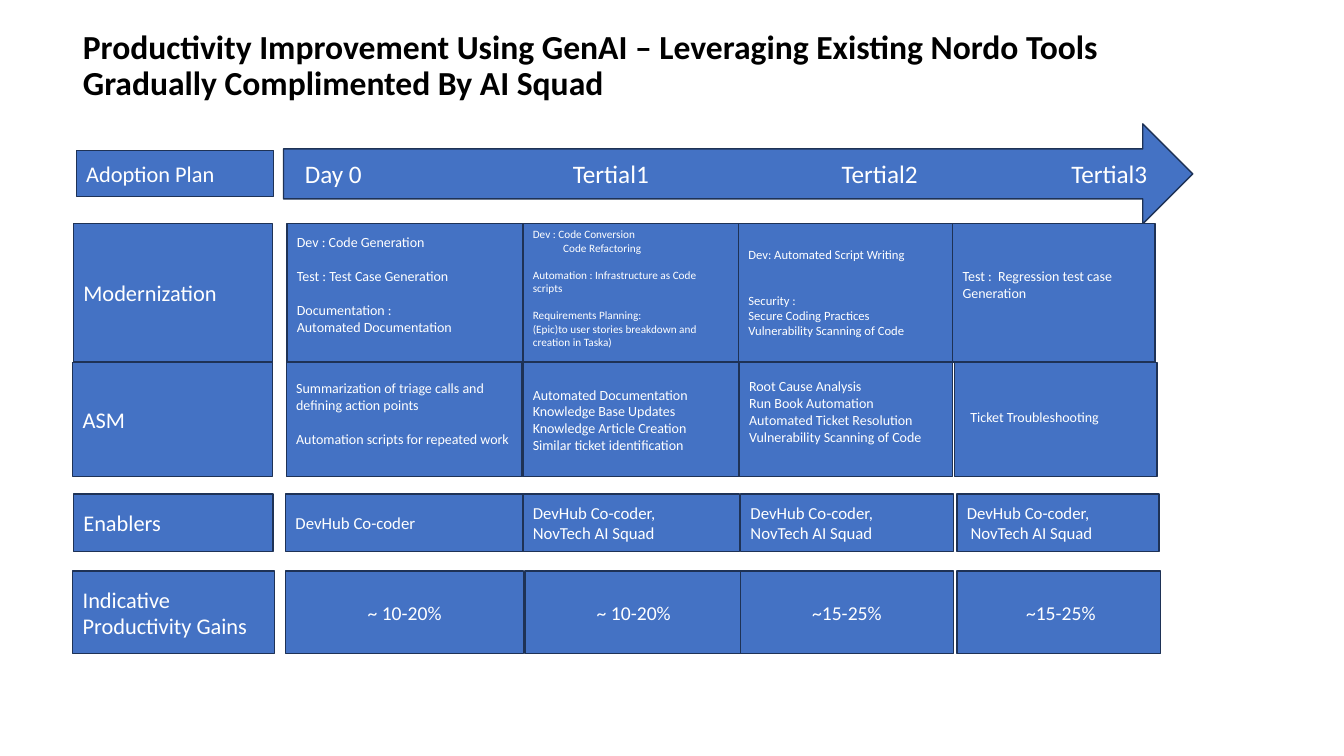
from dataclasses import dataclass

import pptx
import pptx.util
import pptx.dml.color
import pptx.enum.shapes
import pptx.enum.text
import pptx.oxml
import pptx.oxml.ns

Pt = pptx.util.Pt
RGB = pptx.dml.color.RGBColor.from_string
SHAPE = pptx.enum.shapes.MSO_SHAPE
ALIGN = pptx.enum.text.PP_ALIGN
MIDDLE = pptx.enum.text.MSO_ANCHOR.MIDDLE


@dataclass(frozen=True)
class Theme:
    font: str = "Calibri"
    fill: str = "4472C4"
    line: str = "1E3256"
    light: str = "FFFFFF"
    dark: str = "000000"
    title: int = 24
    arrow: int = 18
    label: int = 16
    gain: int = 14
    enabler: int = 12
    body: int = 10
    small: int = 9
    tiny: int = 8


T = Theme()


def write(tf, text, size, color=T.light, bold=False, align=ALIGN.LEFT,
          gaps=(), gap=0, indents=None, lift=0, lead=0, spacing=None):
    """Put one paragraph per line; gaps lists lines preceded by a gap, lift raises the block."""
    tf.word_wrap = True
    tf.vertical_anchor = MIDDLE
    tf.margin_left = Pt(7.2 + lead)
    tf.margin_bottom = Pt(3.6 + 2 * lift)
    for i, line in enumerate(text.split("\n")):
        p = tf.add_paragraph() if i else tf.paragraphs[0]
        p.alignment = align
        if spacing:
            p.line_spacing = spacing
        if i in gaps:
            p.space_before = Pt(gap)
        if indents and i in indents:
            p._p.get_or_add_pPr().set("marL", str(Pt(indents[i])))
        r = p.add_run()
        r.text = line
        r.font.name = T.font
        r.font.size = Pt(size)
        r.font.bold = bold
        r.font.color.rgb = RGB(color)


def add_box(s, box, text, size, kind=SHAPE.RECTANGLE, **fmt):
    sp = s.shapes.add_shape(kind, *map(Pt, box))
    sp.shadow.inherit = False
    sp.fill.solid()
    sp.fill.fore_color.rgb = RGB(T.fill)
    sp.line.color.rgb = RGB(T.line)
    sp.line.width = Pt(1)
    write(sp.text_frame, text, size, **fmt)
    return sp


def add_title(s, box, text):
    sp = s.shapes.title
    sp.left, sp.top, sp.width, sp.height = map(Pt, box)
    write(sp.text_frame, text, T.title, color=T.dark, bold=True, spacing=0.9)


def add_timeline(s, box, phases, stops):
    """Arrow whose phase names sit on tab stops."""
    sp = add_box(s, box, "\t".join(phases), T.arrow, kind=SHAPE.RIGHT_ARROW, lead=8)
    tf = sp.text_frame
    tf.margin_right = 0
    pPr = tf.paragraphs[0]._p.get_or_add_pPr()
    tabs = "".join(f'<a:tab pos="{Pt(x)}" algn="l"/>' for x in stops)
    pPr.append(pptx.oxml.parse_xml(
        f'<a:tabLst {pptx.oxml.ns.nsdecls("a")}>{tabs}</a:tabLst>'))


def add_row(s, top, height, label, label_box, columns, cells):
    """Row label followed by one cell per phase; a cell is (text, size, format)."""
    label_left, label_width = label_box
    add_box(s, (label_left, top, label_width, height), label, T.label)
    for (left, width), (text, size, fmt) in zip(columns, cells):
        add_box(s, (left, top, width, height), text, size, **fmt)


MODERNIZATION = [
    ("Dev : Code Generation\nTest : Test Case Generation\nDocumentation :\n"
     "Automated Documentation", T.body, dict(gaps=(1, 2), gap=12.2, lift=6)),
    ("Dev : Code Conversion\nCode Refactoring\n"
     "Automation : Infrastructure as Code scripts\nRequirements Planning:\n"
     "(Epic)to user stories breakdown and creation in Taska)", T.tiny,
     dict(gaps=(2, 3), gap=9.75, indents={1: 21.7}, lift=3)),
    ("Dev: Automated Script Writing\nSecurity :\nSecure Coding Practices\n"
     "Vulnerability Scanning of Code", T.small, dict(gaps=(1,), gap=22)),
    ("Test :  Regression test case  Generation", T.body, dict(lift=6)),
]
ASM = [
    ("Summarization of triage calls and defining action points\n"
     "Automation scripts for repeated work", T.body, dict(gaps=(1,), gap=12.2, lift=4.5)),
    ("Automated Documentation\nKnowledge Base Updates\nKnowledge Article Creation\n"
     "Similar ticket identification", T.body, {}),
    ("Root Cause Analysis\nRun Book Automation\nAutomated Ticket Resolution\n"
     "Vulnerability Scanning of Code", T.body, dict(lift=6)),
    ("Ticket Troubleshooting", T.body, dict(lead=4, lift=2)),
]
ASSISTANT = "DevHub Co-coder"
BOTH_TOOLS = f"{ASSISTANT},\nNovTech AI Squad"
ENABLERS = [
    (ASSISTANT, T.enabler, {}),
    (BOTH_TOOLS, T.enabler, {}),
    (BOTH_TOOLS, T.enabler, {}),
    (BOTH_TOOLS, T.enabler, dict(indents={1: 2.7})),
]
GAINS = [(text, T.gain, dict(align=ALIGN.CENTER, lead=lead)) for text, lead in
         [("~ 10-20%", 0), ("~ 10-20%", 0), ("~15-25%", 0), ("~15-25%", 3)]]

# top, height, label, label (left, width), columns (left, width), cells
ROWS = [
    (159.5, 99, "Modernization", (52.5, 142),
     [(205, 168.5), (373.5, 154), (527.5, 153), (680.5, 144.5)], MODERNIZATION),
    (259, 81.5, "ASM", (52, 142.5),
     [(204.5, 168.5), (373.5, 155), (528, 152.5), (682, 144.5)], ASM),
    (353, 41, "Enablers", (52.5, 142.5),
     [(204, 169.5), (373.5, 155), (529, 152), (683.5, 144.5)], ENABLERS),
    (408, 59, "Indicative Productivity Gains", (52, 144),
     [(204, 170), (375, 155.5), (529, 152), (683.5, 145.5)], GAINS),
]


def main():
    prs = pptx.Presentation()
    prs.slide_width, prs.slide_height = Pt(960), Pt(540)
    s = prs.slides.add_slide(prs.slide_layouts[5])
    add_title(s, (52, 23, 826.5, 49.5),
              "Productivity Improvement Using GenAI – Leveraging Existing Nordo Tools "
              "Gradually Complimented By AI Squad")
    add_timeline(s, (202.5, 88.5, 649.5, 71.5),
                 ["Day 0", "Tertial1", "Tertial2", "Tertial3"], [191.5, 383.5, 547.5])
    add_box(s, (54.5, 107.5, 141, 33), "Adoption Plan", T.label)
    for row in ROWS:
        add_row(s, *row)
    prs.save("out.pptx")


if __name__ == "__main__":
    main()
